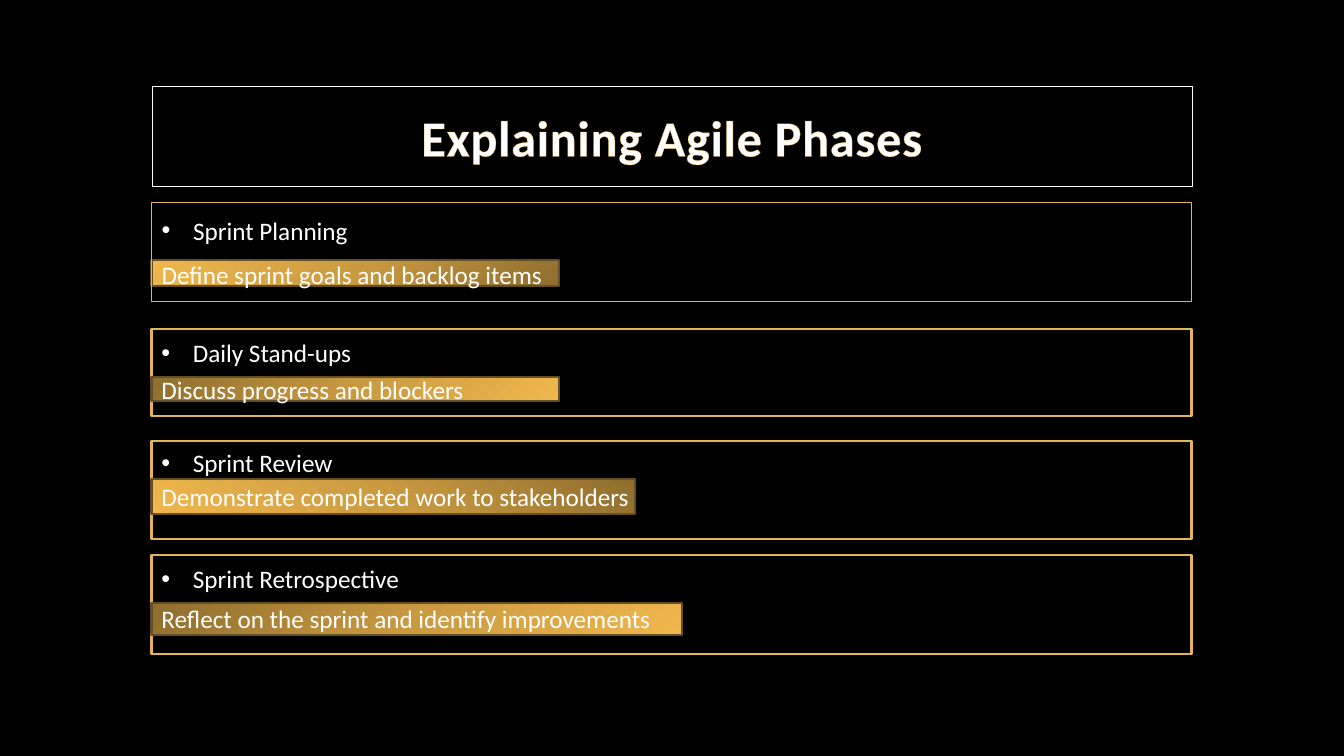
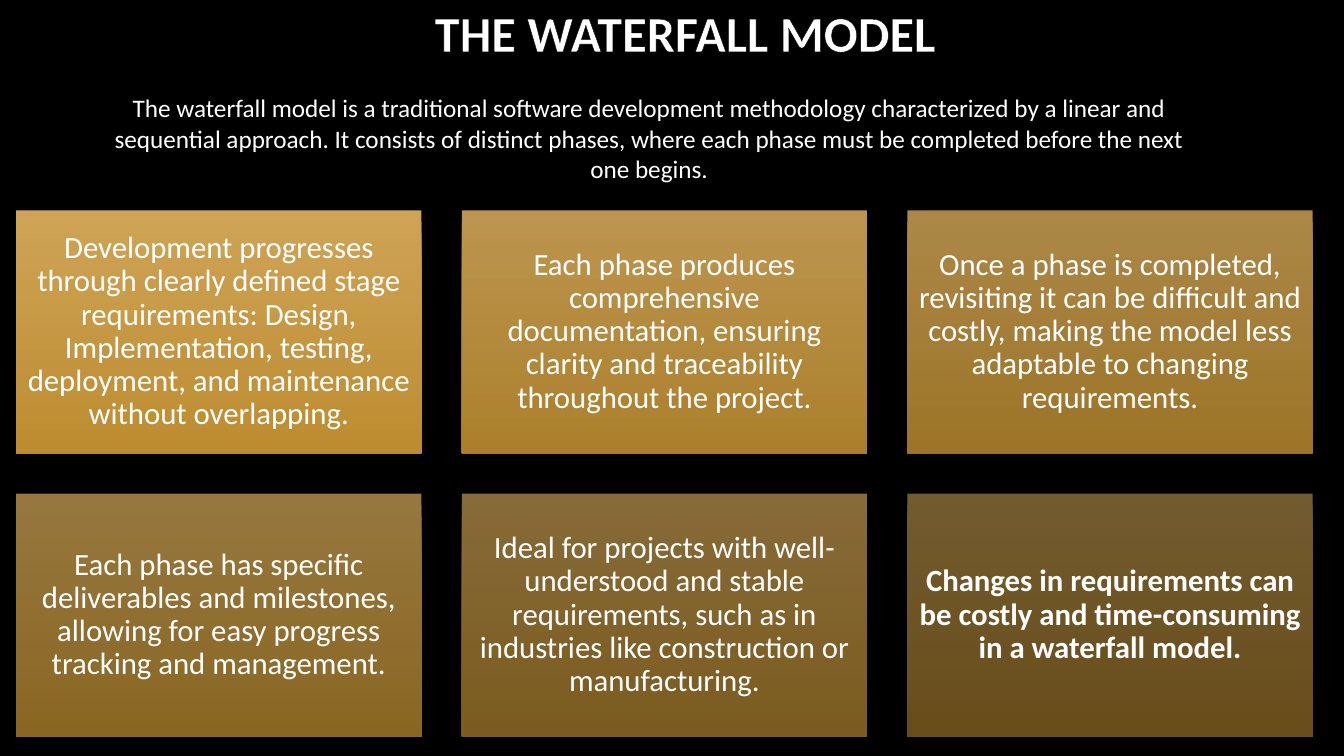
from dataclasses import dataclass

from lxml.etree import SubElement
from pptx import Presentation
from pptx.dml.color import RGBColor
from pptx.enum.shapes import MSO_SHAPE as Preset
from pptx.enum.text import MSO_ANCHOR as Anchor, MSO_AUTO_SIZE as AutoSize, PP_ALIGN as Align
from pptx.oxml import parse_xml
from pptx.oxml.ns import nsdecls, qn
from pptx.util import Cm, Pt

AGILE_TITLE = "Explaining Agile Phases"
FIRST_PHASE = ("Sprint Planning", "Define sprint goals and backlog items")
FIRST_BAR = (6.55, 10.26, 0.66, 225)
PHASES = [
    {"name": "Daily Stand-ups", "detail": "Discuss progress and blockers",
     "frame": (8.3, 2.18), "heading": 8.38, "bar": (9.5, 10.26, 0.61, 45)},
    {"name": "Sprint Review", "detail": "Demonstrate completed work to stakeholders",
     "frame": (11.12, 2.46), "heading": 11.15, "bar": (12.06, 12.19, 0.89, 135)},
    {"name": "Sprint Retrospective", "detail": "Reflect on the sprint and identify improvements",
     "frame": (13.98, 2.51), "heading": 14.07, "bar": (15.19, 13.36, 0.81, 45)},
]

WATERFALL_TITLE = "THE WATERFALL MODEL"
WATERFALL_INTRO = (
    "The waterfall model is a traditional software development methodology characterized by a "
    "linear and sequential approach. It consists of distinct phases, where each phase must be "
    "completed before the next one begins."
)
CARDS = [
    "Development progresses through clearly defined stage requirements: Design, Implementation, "
    "testing, deployment, and maintenance without overlapping.",
    "Each phase produces comprehensive documentation, ensuring clarity and traceability "
    "throughout the project.",
    "Once a phase is completed, revisiting it can be difficult and costly, making the model less "
    "adaptable to changing requirements.",
    "Each phase has specific deliverables and milestones, allowing for easy progress tracking "
    "and management.",
    "Ideal for projects with well-understood and stable requirements, such as in industries like "
    "construction or manufacturing.",
    "Changes in requirements can be costly and time-consuming in a waterfall model.",
]


@dataclass(frozen=True)
class Theme:
    font: str = "Calibri"
    bullet_font: str = "Arial"
    background: str = "000000"
    text: str = "FFFFFF"
    gold: str = "E5B458"
    bar_line: str = "644F27"
    bar_stops: tuple = ((0, "8E6D2E"), (50, "CA9A41"), (100, "F0B74D"))
    card_stops: tuple = ((0, "E6B660"), (100, "D29C36"))
    title_size: int = 36
    body_size: int = 18
    card_size: int = 22


THEME = Theme()
LEFT, PANEL_WIDTH = 3.82, 26.21
INDENT = 0.79
CARD_COLUMNS = 3
CARD_LEFT, CARD_TOP = 0.41, 5.3
CARD_WIDTH, CARD_HEIGHT, CARD_GAP = 10.21, 6.12, 1.02
CARD_INSET = 0.22


def color(value):
    return RGBColor.from_string(value)


def place(shape, left, top, width, height):
    shape.left, shape.top, shape.width, shape.height = map(Cm, (left, top, width, height))


def set_line(shape, value, width):
    shape.line.color.rgb = color(value)
    shape.line.width = Pt(width)


def set_font(font, size, bold=False):
    font.name, font.size, font.bold = THEME.font, Pt(size), bold
    font.color.rgb = color(THEME.text)


def write(paragraph, text, size=THEME.body_size, align=Align.LEFT, bold=False, bullet=None):
    paragraph.text = text
    paragraph.alignment = align
    paragraph.space_before = Pt(0)
    properties = paragraph._p.get_or_add_pPr()
    indent = Cm(INDENT) if bullet else 0
    properties.set("marL", str(indent))
    properties.set("indent", str(-indent))
    if bullet:
        SubElement(properties, qn("a:buFont")).set("typeface", THEME.bullet_font)
        SubElement(properties, qn("a:buChar")).set("char", bullet)
    else:
        SubElement(properties, qn("a:buNone"))
    set_font(paragraph.font, size, bold)


def set_gradient(shape, stops, angle, opacity=100):
    stop_xml = "".join(
        f'<a:gs pos="{position * 1000}"><a:srgbClr val="{value}">'
        f'<a:alpha val="{opacity * 1000}"/></a:srgbClr></a:gs>'
        for position, value in stops
    )
    gradient = parse_xml(
        f'<a:gradFill {nsdecls("a")} rotWithShape="1"><a:gsLst>{stop_xml}</a:gsLst>'
        f'<a:lin ang="{angle * 60000}" scaled="0"/></a:gradFill>'
    )
    shape.fill.background()
    properties = shape._element.spPr
    properties.replace(properties.find(qn("a:noFill")), gradient)


def add_rectangle(slide, *box):
    shape = slide.shapes.add_shape(Preset.RECTANGLE, 0, 0, 0, 0)
    place(shape, *box)
    shape.shadow.inherit = False
    shape.fill.background()
    shape.line.fill.background()
    return shape


def add_text(slide, text, *box, **style):
    text_box = slide.shapes.add_textbox(0, 0, 0, 0)
    place(text_box, *box)
    text_box.text_frame.word_wrap = True
    write(text_box.text_frame.paragraphs[0], text, **style)


def add_bar(slide, top, width, height, angle):
    bar = add_rectangle(slide, LEFT, top, width, height)
    set_gradient(bar, THEME.bar_stops, angle)
    set_line(bar, THEME.bar_line, 1.5)
    return bar


def set_title(slide, text, outline, align, *box):
    title = slide.shapes.title
    place(title, *box)
    frame = title.text_frame
    frame.auto_size = AutoSize.NONE
    frame.vertical_anchor = Anchor.MIDDLE
    paragraph = frame.paragraphs[0]
    paragraph.alignment = align
    run = paragraph.add_run()
    run.text = text
    set_font(run.font, THEME.title_size, bold=True)
    run._r.get_or_add_rPr().insert(0, parse_xml(
        f'<a:ln {nsdecls("a")} w="{Pt(0.75)}"><a:solidFill><a:srgbClr val="{outline}"/>'
        "</a:solidFill></a:ln>"
    ))
    return title, run


def add_title_shadow(run):
    properties = run._r.get_or_add_rPr()
    properties.set("spc", "50")
    properties.find(qn("a:solidFill")).addnext(parse_xml(
        f'<a:effectLst {nsdecls("a")}><a:outerShdw blurRad="{Pt(2)}" dist="{Pt(2)}" dir="2700000">'
        f'<a:srgbClr val="{THEME.gold}"/></a:outerShdw></a:effectLst>'
    ))


def build_agile(presentation):
    slide = presentation.slides.add_slide(presentation.slide_layouts[1])
    title, run = set_title(
        slide, AGILE_TITLE, THEME.gold, Align.CENTER, LEFT + 0.02, 2.18, PANEL_WIDTH, 2.51)
    set_line(title, THEME.text, 0.75)
    add_title_shadow(run)

    body = slide.placeholders[1]
    place(body, LEFT, 5.11, PANEL_WIDTH, 2.5)
    set_line(body, THEME.gold, 0.75)
    frame = body.text_frame
    frame.auto_size = AutoSize.NONE
    frame.vertical_anchor = Anchor.MIDDLE
    name, detail = FIRST_PHASE
    write(frame.paragraphs[0], name, bullet="•")
    frame.paragraphs[0].space_after = Pt(10)
    write(frame.add_paragraph(), detail)
    first_bar = add_bar(slide, *FIRST_BAR)
    title._element.addprevious(first_bar._element)

    for phase in PHASES:
        top, height = phase["frame"]
        panel = add_rectangle(slide, LEFT, top, PANEL_WIDTH, height)
        set_line(panel, THEME.gold, 1.5)
        bar = add_bar(slide, *phase["bar"])
        frame = bar.text_frame
        frame.word_wrap = True
        frame.margin_right = frame.margin_top = frame.margin_bottom = 0
        frame.vertical_anchor = Anchor.MIDDLE
        write(frame.paragraphs[0], phase["detail"])
        add_text(slide, phase["name"], LEFT, phase["heading"], 11, 1, bullet="•")


def build_waterfall(presentation):
    slide = presentation.slides.add_slide(presentation.slide_layouts[5])
    set_title(
        slide, WATERFALL_TITLE, THEME.background, Align.LEFT, 10.7, -0.1, 14, 1.8)
    add_text(slide, WATERFALL_INTRO, 2.21, 2.21, 28.3, 2.57, align=Align.CENTER)

    for index, text in enumerate(CARDS):
        row, column = divmod(index, CARD_COLUMNS)
        card = add_rectangle(
            slide,
            CARD_LEFT + column * (CARD_WIDTH + CARD_GAP),
            CARD_TOP + row * (CARD_HEIGHT + CARD_GAP),
            CARD_WIDTH, CARD_HEIGHT)
        set_gradient(card, THEME.card_stops, 90, opacity=90 - 8 * index)
        frame = card.text_frame
        frame.margin_left = frame.margin_right = Cm(CARD_INSET)
        frame.margin_top = frame.margin_bottom = Cm(CARD_INSET)
        frame.vertical_anchor = Anchor.MIDDLE
        paragraph = frame.paragraphs[0]
        write(paragraph, text, THEME.card_size, Align.CENTER, bold=index == len(CARDS) - 1)
        paragraph.line_spacing = 0.9


def main():
    presentation = Presentation()
    presentation.slide_width, presentation.slide_height = Cm(33.87), Cm(19.05)
    background = presentation.slide_master.background.fill
    background.solid()
    background.fore_color.rgb = color(THEME.background)
    build_agile(presentation)
    build_waterfall(presentation)
    presentation.save("out.pptx")


if __name__ == "__main__":
    main()
